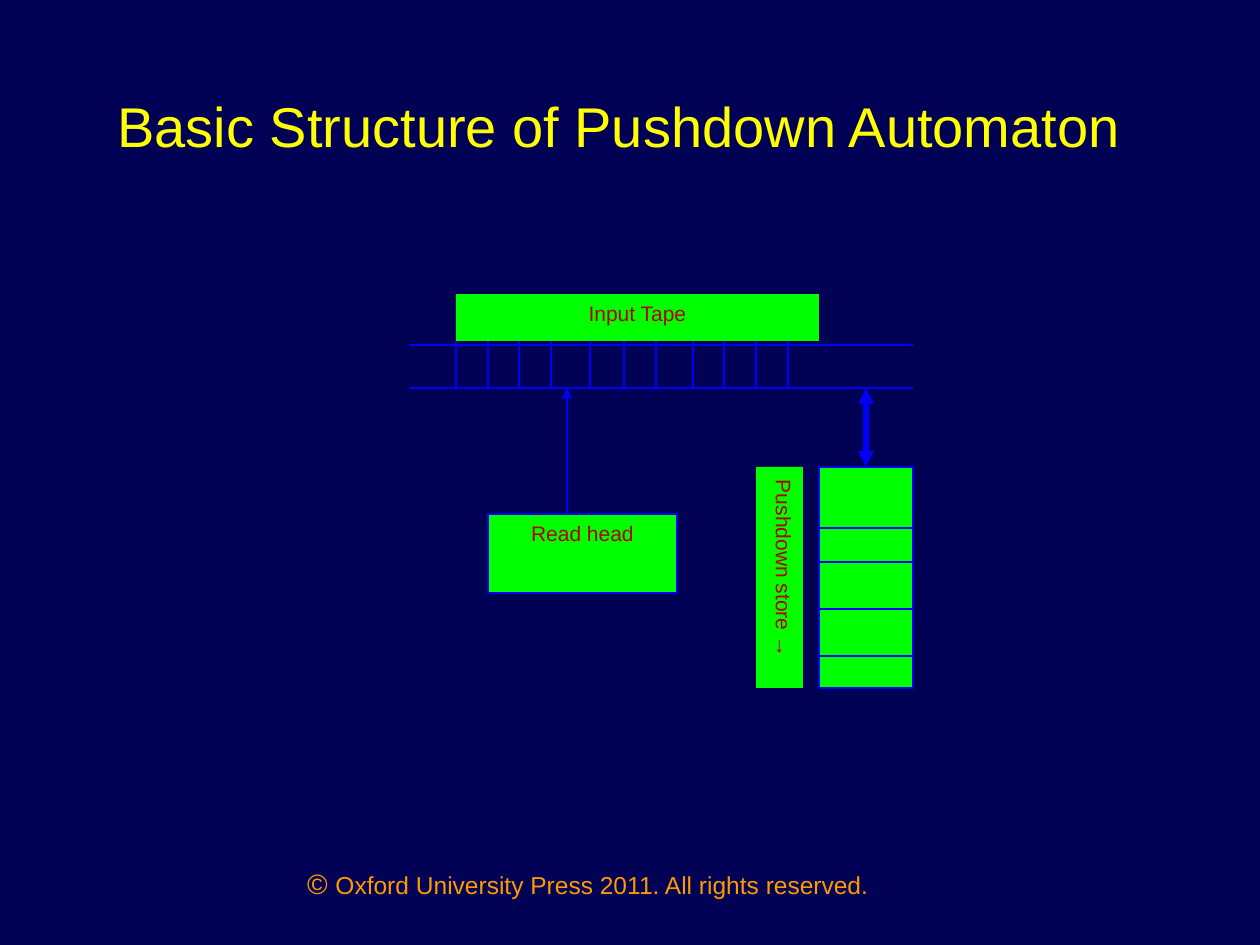
from lxml import etree
from pptx import Presentation
from pptx.dml.color import RGBColor
from pptx.enum.shapes import MSO_CONNECTOR, MSO_SHAPE
from pptx.enum.text import MSO_ANCHOR, PP_ALIGN
from pptx.oxml.ns import qn
from pptx.util import Emu, Pt

STRAIGHT = MSO_CONNECTOR.STRAIGHT
RECTANGLE = MSO_SHAPE.RECTANGLE
TOP, MIDDLE = MSO_ANCHOR.TOP, MSO_ANCHOR.MIDDLE
CENTER = PP_ALIGN.CENTER

PX_PER_INCH = 126
FONT = "Arial"
COLORS = {
    "background": "000055",
    "title": "FFFF00",
    "title_end": "000000",
    "footer": "FF9900",
    "fill": "00FF00",
    "line": "0000FA",
    "label": "B40000",
}


def px(length):
    return Emu(round(length * 914400 / PX_PER_INCH))


def color(name):
    return RGBColor.from_string(COLORS[name])


class SlideBuilder:
    def __init__(self, page):
        self.page = page
        page.background.fill.solid()
        page.background.fill.fore_color.rgb = color("background")

    def add_spans(self, shape, spans, anchor=TOP, vertical=False):
        frame = shape.text_frame
        frame.word_wrap = True
        frame.vertical_anchor = anchor
        across, down = (6, 13) if vertical else (13, 6)
        frame.margin_left = frame.margin_right = px(across)
        frame.margin_top = frame.margin_bottom = px(down)
        if vertical:
            frame._txBody.bodyPr.set("vert", "eaVert")
        para = frame.paragraphs[0]
        para.alignment = CENTER
        for text, size, tone in spans:
            span = para.add_run()
            span.text = text
            span.font.name = FONT
            span.font.size = Pt(size)
            span.font.color.rgb = color(tone)

    def text(self, left, top, width, height, spans, anchor=TOP):
        box = self.page.shapes.add_textbox(px(left), px(top), px(width), px(height))
        self.add_spans(box, spans, anchor)

    def box(self, left, top, width, height, label="", outlined=False, vertical=False):
        box = self.page.shapes.add_shape(
            RECTANGLE, px(left), px(top), px(width), px(height)
        )
        box.shadow.inherit = False
        box.fill.solid()
        box.fill.fore_color.rgb = color("fill")
        if outlined:
            box.line.color.rgb = color("line")
            box.line.width = Pt(0.75)
        else:
            box.line.fill.background()
        if label:
            self.add_spans(box, [(label, 12, "label")], vertical=vertical)
        return box

    def line(self, x1, y1, x2, y2, width=0.75, arrows=()):
        line = self.page.shapes.add_connector(STRAIGHT, px(x1), px(y1), px(x2), px(y2))
        line.line.color.rgb = color("line")
        line.line.width = Pt(width)
        outline = line.line._get_or_add_ln()
        for end in arrows:
            etree.SubElement(outline, qn(f"a:{end}"), type="triangle")
        etree.SubElement(line._element.spPr, qn("a:effectLst"))
        return line


def main():
    deck = Presentation()
    deck.slide_width, deck.slide_height = px(1260), px(945)
    builder = SlideBuilder(deck.slides.add_slide(deck.slide_layouts[6]))

    builder.text(252, 861, 672, 65, [
        ("© ", 16, "footer"),
        ("Oxford University Press 2011. All rights reserved.", 14, "footer"),
    ])
    builder.text(63, 38, 1134, 158, [
        ("Basic Structure of Pushdown Automaton", 32, "title"),
        (" ", 44, "title_end"),
    ], MIDDLE)

    tape_left, tape_right, tape_top, tape_bottom = 409, 913, 345, 388
    store_left, store_right, store_top, store_height = 819, 913, 467, 221
    store = builder.box(store_left, store_top, store_right - store_left,
                        store_height, outlined=True)
    builder.box(488, 514, 189, 79, "Read head", outlined=True)
    builder.line(567, 514, 567, tape_bottom, arrows=["tailEnd"])

    for y in (tape_bottom, tape_top):
        builder.line(tape_left, y, tape_right, y)
    for x in (456, 488, 519, 551, 590, 624, 656, 693, 724, 756, 788):
        builder.line(x, 341, x, tape_bottom)

    store_middle = (store_left + store_right) // 2
    store_link = builder.line(store_middle, tape_bottom, store_middle, store_top,
                              width=3, arrows=["headEnd", "tailEnd"])
    store_link.end_connect(store, 0)
    for y in (528, 562, 609, 656):
        builder.line(store_left, y, store_right, y)

    builder.box(756, store_top, 47, store_height, "Pushdown store →", vertical=True)
    builder.box(456, 294, 363, 47, "Input Tape")

    deck.save("out.pptx")


if __name__ == "__main__":
    main()
